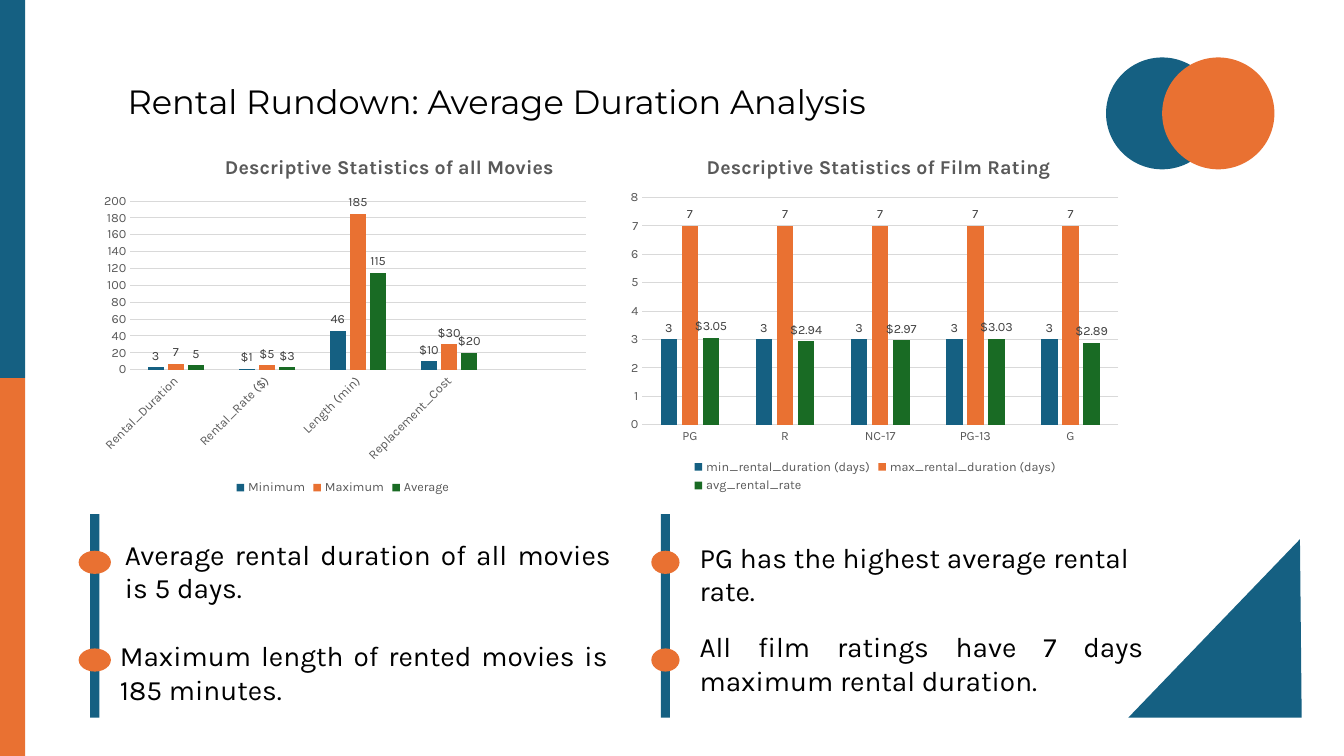
from lxml import etree
from pptx import Presentation, util as u
from pptx.chart.data import CategoryChartData
from pptx.dml.color import RGBColor
from pptx.enum import chart as ch, shapes, text as tx
from pptx.oxml import parse_xml
from pptx.oxml.ns import nsdecls, qn

BLUE, ORANGE, GREEN = "156082", "E97132", "196B24"
GREY, LABEL_GREY, GRID_GREY, BLACK = "595959", "404040", "D9D9D9", "000000"
BODY, HEADING = "Karla", "Montserrat"
WIDTH, HEIGHT = 13.33, 7.5
DOLLARS, CENTS = "[$$-409]#,##0", "[$$-409]#,##0.00"


def color(value):
    return RGBColor.from_string(value)


def set_font(font, size, fill, name=BODY, bold=False):
    font.size, font.name, font.bold = u.Pt(size), name, bold
    font.color.rgb = color(fill)


def add_block(slide, kind, box, fill):
    block = slide.shapes.add_shape(kind, *map(u.Inches, box))
    block.shadow.inherit = False
    block.fill.solid()
    block.fill.fore_color.rgb = color(fill)
    block.line.fill.background()
    return block


def add_text(slide, box, words, size=20, name=BODY, align=tx.PP_ALIGN.JUSTIFY, spacing=None):
    frame = slide.shapes.add_textbox(*map(u.Inches, box)).text_frame
    frame.word_wrap = True
    paragraph = frame.paragraphs[0]
    paragraph.alignment = align
    paragraph.line_spacing = spacing
    run = paragraph.add_run()
    run.text = words
    set_font(run.font, size, BLACK, name)


def add_side_band(slide, box):
    left, top, width, height = box
    half = height / 2
    for row, fill in enumerate((BLUE, ORANGE)):
        add_block(slide, shapes.MSO_SHAPE.RECTANGLE, (left, top + row * half, width, half), fill)


def add_twin_circles(slide, box):
    left, top, width, height = box
    diameter = width * 2 / 3
    for column, fill in enumerate((BLUE, ORANGE)):
        circle = (left + column * diameter / 2, top, diameter, height)
        add_block(slide, shapes.MSO_SHAPE.OVAL, circle, fill)


def add_corner_triangle(slide, box):
    triangle = add_block(slide, shapes.MSO_SHAPE.ISOSCELES_TRIANGLE, box, BLUE)
    triangle.adjustments[0] = 0.99


def add_findings(slide, box, marker_width, findings):
    left, top, width, height = box
    bar = 0.09
    bar_left = left + (marker_width - bar) / 2
    add_block(slide, shapes.MSO_SHAPE.RECTANGLE, (bar_left, top, bar, height), BLUE)
    for row, (words, indent, drop, text_width) in enumerate(findings):
        marker = (left, top + height * (0.18 + 0.48 * row), marker_width, 0.23)
        add_block(slide, shapes.MSO_SHAPE.OVAL, marker, ORANGE)
        add_text(slide, (left + indent, top + drop, text_width, 0.77), words)


def place(parent, index, **shares):
    for old in parent.findall(qn("c:layout")):
        parent.remove(old)
    layout = etree.Element(qn("c:layout"))
    manual = etree.SubElement(layout, qn("c:manualLayout"))
    if "w" in shares:
        etree.SubElement(manual, qn("c:layoutTarget")).set("val", "inner")
    for side in ("xMode", "yMode"):
        etree.SubElement(manual, qn("c:" + side)).set("val", "edge")
    for side, share in shares.items():
        etree.SubElement(manual, qn("c:" + side)).set("val", str(share))
    parent.insert(index, layout)


def style_axes(chart, top_value, step, rotation):
    categories, values = chart.category_axis, chart.value_axis
    for axis in (categories, values):
        axis.major_tick_mark = axis.minor_tick_mark = ch.XL_TICK_MARK.NONE
        set_font(axis.tick_labels.font, 9, GREY)
    categories._element.find(qn("c:txPr")).find(qn("a:bodyPr")).set("rot", str(rotation * 60000))
    values.minimum_scale, values.maximum_scale, values.major_unit = 0, top_value, step
    values.format.line.fill.background()
    for line in (categories.format.line, values.major_gridlines.format.line):
        line.color.rgb = color(GRID_GREY)
        line.width = u.Pt(0.75)


def style_series(series, fill, label_format, dollar_points):
    series.format.fill.solid()
    series.format.fill.fore_color.rgb = color(fill)
    labels = series.data_labels
    labels.show_value = True
    labels.number_format, labels.number_format_is_linked = label_format, False
    labels.position = ch.XL_LABEL_POSITION.OUTSIDE_END
    set_font(labels.font, 9, LABEL_GREY)
    for index in dollar_points:
        label = series.points[index].data_label
        set_font(label.font, 9, LABEL_GREY)
        label.position = ch.XL_LABEL_POSITION.OUTSIDE_END
    for label in series._element.iter(qn("c:dLbl")):
        label.insert(1, parse_xml(
            f'<c:numFmt {nsdecls("c")} formatCode="{DOLLARS}" sourceLinked="0"/>'))


def add_statistics(slide, box, title, categories, rows, title_at, plot_at, top_value, step,
                   rotation=0, dollar_points=()):
    data = CategoryChartData()
    data.categories = categories
    for name, values, label_format in rows:
        data.add_series(name, values)
    chart = slide.shapes.add_chart(
        ch.XL_CHART_TYPE.COLUMN_CLUSTERED, *map(u.Inches, box), data).chart
    set_font(chart.font, 10, BLACK)
    chart.has_title = True
    heading = chart.chart_title.text_frame.paragraphs[0].add_run()
    heading.text = title
    set_font(heading.font, 14, GREY, bold=True)
    place(chart.chart_title._element, 1, x=title_at[0], y=title_at[1])
    plot_area = chart._chartSpace.chart.plotArea
    place(plot_area, 0, **dict(zip("xywh", plot_at)))
    chart.has_legend = True
    chart.legend.position = ch.XL_LEGEND_POSITION.BOTTOM
    chart.legend.include_in_layout = False
    set_font(chart.legend.font, 9, GREY)
    style_axes(chart, top_value, step, rotation)
    plot = chart.plots[0]
    plot.gap_width, plot.overlap, plot.vary_by_categories = 219, -27, False
    for series, fill, row in zip(plot.series, (BLUE, ORANGE, GREEN), rows):
        style_series(series, fill, row[2], dollar_points)


def build_slide(deck):
    slide = deck.slides.add_slide(deck.slide_layouts[6])
    add_twin_circles(slide, (10.97, 0.57, 1.67, 1.11))
    add_side_band(slide, (0, 0, 0.25, HEIGHT))
    add_corner_triangle(slide, (11.19, 5.35, 1.72, 1.77))
    add_text(slide, (0.77, 0.73, 8.31, 0.51), "Rental Rundown: Average Duration Analysis",
             size=24, name=HEADING, align=tx.PP_ALIGN.CENTER, spacing=1.07)
    add_findings(slide, (0.78, 5.1, 5.38, 2.02), 0.32, [
        ("Average rental duration of all movies is 5 days.", 0.36, 0.18, 5.02),
        ("Maximum length of rented movies is 185 minutes.", 0.31, 1.19, 5.04)])
    add_findings(slide, (6.46, 5.1, 4.98, 2.02), 0.28, [
        ("PG has the highest average rental rate.", 0.38, 0.21, 4.46),
        ("All film ratings have 7 days maximum rental duration.", 0.38, 1.1, 4.6)])
    add_statistics(
        slide, (0.89, 1.39, 5.02, 3.56), "Descriptive Statistics of all Movies",
        ["Rental_Duration", "Rental_Rate ($)", "Length (min)", "Replacement_Cost", ""],
        [("Minimum", (3, 1, 46, 10, None), "General"),
         ("Maximum", (7, 5, 185, 30, None), "General"),
         ("Average", (5, 3, 115, 20, None), "General")],
        title_at=(0.26, 0.03), plot_at=(0.08, 0.17, 0.9, 0.47),
        top_value=200, step=20, rotation=-45, dollar_points=(1, 3))
    add_statistics(
        slide, (6.17, 1.35, 5.02, 3.58), "Descriptive Statistics of Film Rating",
        ["PG", "R", "NC-17", "PG-13", "G"],
        [("min_rental_duration (days)", (3,) * 5, "General"),
         ("max_rental_duration (days)", (7,) * 5, "General"),
         ("avg_rental_rate", (3.05, 2.94, 2.97, 3.03, 2.89), CENTS)],
        title_at=(0.16, 0.04), plot_at=(0.04, 0.17, 0.94, 0.63), top_value=8, step=1)


def main():
    deck = Presentation()
    deck.slide_width, deck.slide_height = u.Inches(WIDTH), u.Inches(HEIGHT)
    build_slide(deck)
    deck.save("out.pptx")


if __name__ == "__main__":
    main()
